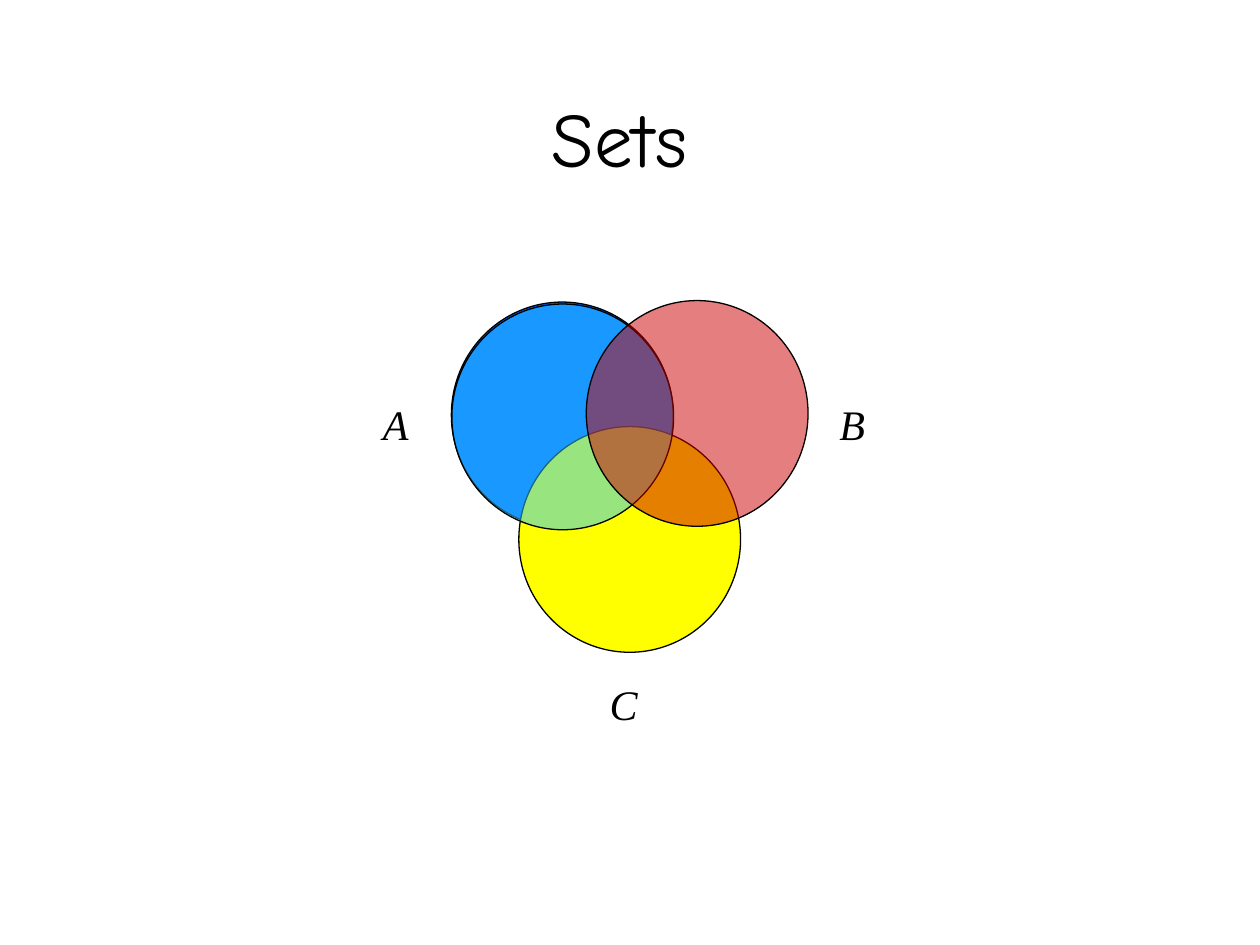
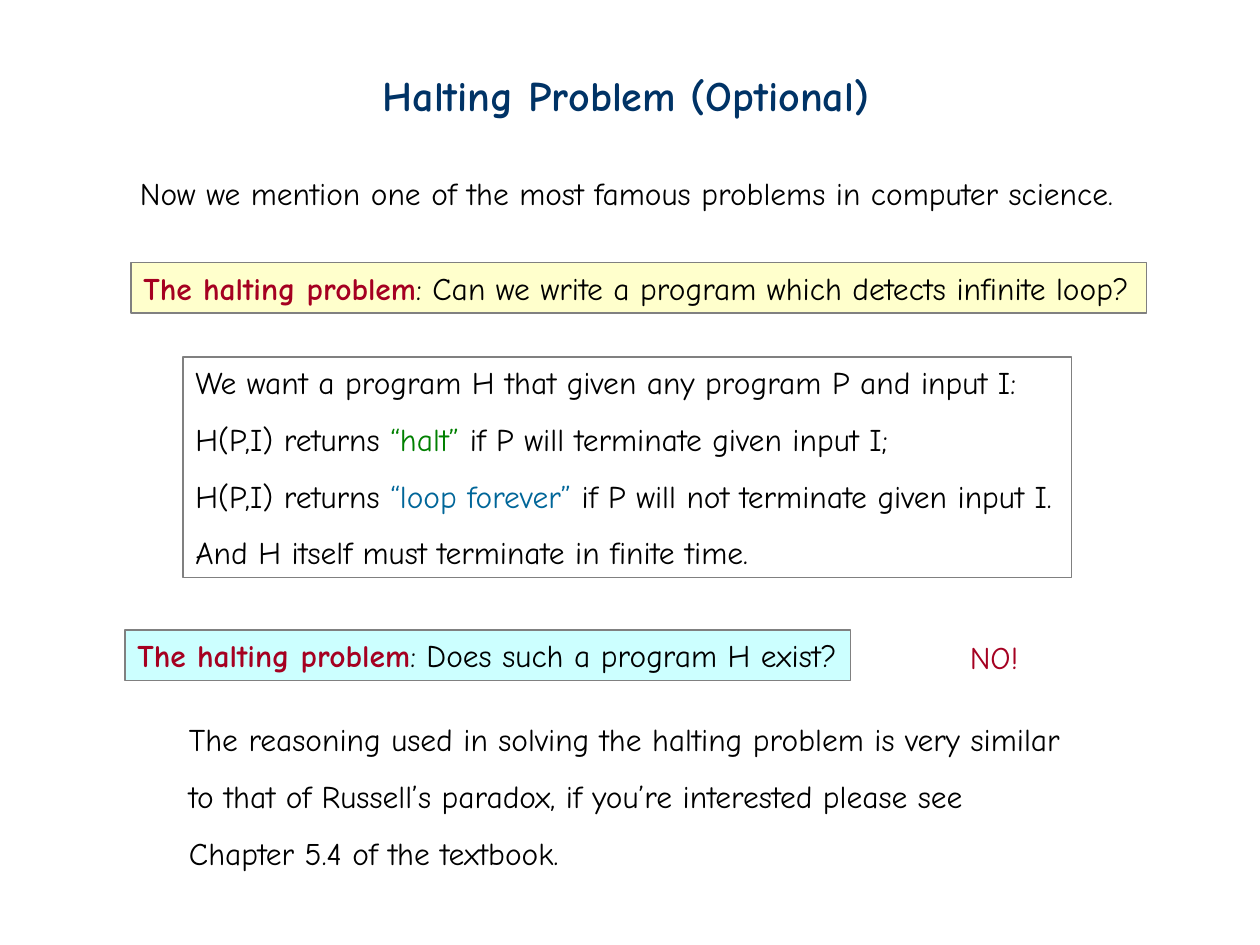
from dataclasses import dataclass
from typing import Optional

from lxml import etree
from pptx import Presentation
from pptx.dml.color import RGBColor
from pptx.enum import shapes, text
from pptx.oxml import ns
from pptx.util import Cm, Pt


@dataclass(frozen=True)
class Theme:
    font: str = "Comic Neue"
    serif: str = "Times New Roman"
    ink: str = "000000"
    navy: str = "003366"
    red: str = "A50021"
    green: str = "008000"
    teal: str = "006699"
    edge: str = "808080"
    cream: str = "FFFFCC"
    aqua: str = "CCFFFF"
    blue: str = "0066FF"
    sky: str = "33CCFF"
    yellow: str = "FFFF00"
    rose: str = "CC0000"
    big: float = 44
    head: float = 24
    body: float = 18
    line: float = 0.75
    gap: float = 1.5


T = Theme()


@dataclass(frozen=True)
class Spot:
    left: float
    top: float
    width: float
    height: float

    def lengths(self) -> tuple:
        return Cm(self.left), Cm(self.top), Cm(self.width), Cm(self.height)


@dataclass(frozen=True)
class Run:
    text: str
    color: str = T.ink
    bold: bool = False
    italic: bool = False
    size: float = T.body
    font: str = T.font


@dataclass(frozen=True)
class Box:
    spot: Spot
    lines: tuple[tuple[Run, ...], ...]
    framed: bool = False
    fill: Optional[str] = None


@dataclass(frozen=True)
class Disc:
    left: float
    top: float
    color: str
    alpha: int = 100


def write(frame, lines: tuple[tuple[Run, ...], ...], align=text.PP_ALIGN.LEFT) -> None:
    for i, line in enumerate(lines):
        para = frame.add_paragraph() if i else frame.paragraphs[0]
        para.alignment = align
        if i:
            para.line_spacing = T.gap
        for item in line:
            run = para.add_run()
            run.text = item.text
            font = run.font
            font.name, font.size = item.font, Pt(item.size)
            font.bold, font.italic = item.bold, item.italic
            font.color.rgb = RGBColor.from_string(item.color)


def fit(frame) -> None:
    frame.word_wrap = False
    frame.auto_size = text.MSO_AUTO_SIZE.SHAPE_TO_FIT_TEXT
    frame.vertical_anchor = text.MSO_ANCHOR.TOP


def paint(shape, fill: Optional[str], edge: str) -> None:
    shape.shadow.inherit = False
    if fill:
        shape.fill.solid()
        shape.fill.fore_color.rgb = RGBColor.from_string(fill)
    else:
        shape.fill.background()
    shape.line.color.rgb = RGBColor.from_string(edge)
    shape.line.width = Pt(T.line)


def put_title(slide, spot: Spot, run: Run):
    title = slide.shapes.title
    title.left, title.top, title.width, title.height = spot.lengths()
    write(title.text_frame, ((run,),), text.PP_ALIGN.CENTER)
    return title.text_frame


def put_box(slide, box: Box) -> None:
    if box.framed:
        shape = slide.shapes.add_shape(shapes.MSO_SHAPE.RECTANGLE, *box.spot.lengths())
        paint(shape, box.fill, T.edge)
    else:
        shape = slide.shapes.add_textbox(*box.spot.lengths())
    fit(shape.text_frame)
    write(shape.text_frame, box.lines)


def put_disc(group, disc: Disc) -> None:
    spot = Spot(disc.left, disc.top, 4.47, 4.55)
    shape = group.shapes.add_shape(shapes.MSO_SHAPE.OVAL, *spot.lengths())
    paint(shape, disc.color, T.ink)
    if disc.alpha < 100:
        color = shape.fill._xPr.find(".//" + ns.qn("a:srgbClr"))
        etree.SubElement(color, ns.qn("a:alpha"), val=str(disc.alpha * 1000))


def label(name: str, left: float, top: float) -> Box:
    run = Run(name, italic=True, size=T.head, font=T.serif)
    return Box(Spot(left, top, 1.02, 1.27), ((run,),))


def ask(spot: Spot, fill: str, words: str) -> Box:
    lead = Run("The halting problem", T.red, bold=True)
    return Box(spot, ((lead, Run(words)),), True, fill)


def returns(value: str, color: str, case: str) -> tuple[Run, ...]:
    return Run("H(P,I) returns "), Run(value, color), Run(case)


def draw_sets(deck) -> None:
    slide = deck.slides.add_slide(deck.slide_layouts[5])
    frame = put_title(slide, Spot(0.64, 1.49, 23.7, 2.54), Run("Sets", size=T.big))
    frame.vertical_anchor = text.MSO_ANCHOR.MIDDLE
    for box in (label("A", 7.47, 7.9), label("B", 16.67, 7.9), label("C", 12.04, 13.55)):
        put_box(slide, box)
    group = slide.shapes.add_group_shape()
    for disc in (
        Disc(9.1, 6.09, T.blue),
        Disc(10.46, 8.6, T.yellow),
        Disc(9.11, 6.13, T.sky, 50),
        Disc(11.82, 6.06, T.rose, 50),
    ):
        put_disc(group, disc)


def draw_halting(deck) -> None:
    slide = deck.slides.add_slide(deck.slide_layouts[5])
    head = Run("Halting Problem (Optional)", T.navy, bold=True, size=T.head)
    fit(put_title(slide, Spot(7.12, 1.27, 11, 1.27), head))
    intro = Run("Now we mention one of the most famous problems in computer science.")
    goal = (
        (Run("We want a program H that given any program P and input I:"),),
        returns("“halt”", T.green, " if P will terminate given input I;"),
        returns("“loop forever”", T.teal, " if P will not terminate given input I."),
        (Run("And H itself must terminate in finite time."),),
    )
    note = (
        (Run("The reasoning used in solving the halting problem is very similar"),),
        (Run("to that of Russell’s paradox, if you’re interested please see"),),
        (Run("Chapter 5.4 of the textbook."),),
    )
    for box in (
        Box(Spot(2.57, 3.38, 20.19, 1.02), ((intro,),)),
        ask(Spot(2.64, 5.29, 20.47, 1.02), T.cream,
            ": Can we write a program which detects infinite loop?"),
        Box(Spot(3.69, 7.2, 17.91, 4.45), goal, True),
        ask(Spot(2.52, 12.7, 14.63, 1.02), T.aqua, ": Does such a program H exist?"),
        Box(Spot(3.56, 14.4, 18.31, 3.3), note),
        Box(Spot(19.3, 12.74, 1.7, 1.02), ((Run("NO!", T.red),),)),
    ):
        put_box(slide, box)


def main() -> None:
    deck = Presentation()
    deck.slide_width, deck.slide_height = Cm(25.4), Cm(19.05)
    draw_sets(deck)
    draw_halting(deck)
    deck.save("out.pptx")


if __name__ == "__main__":
    main()
